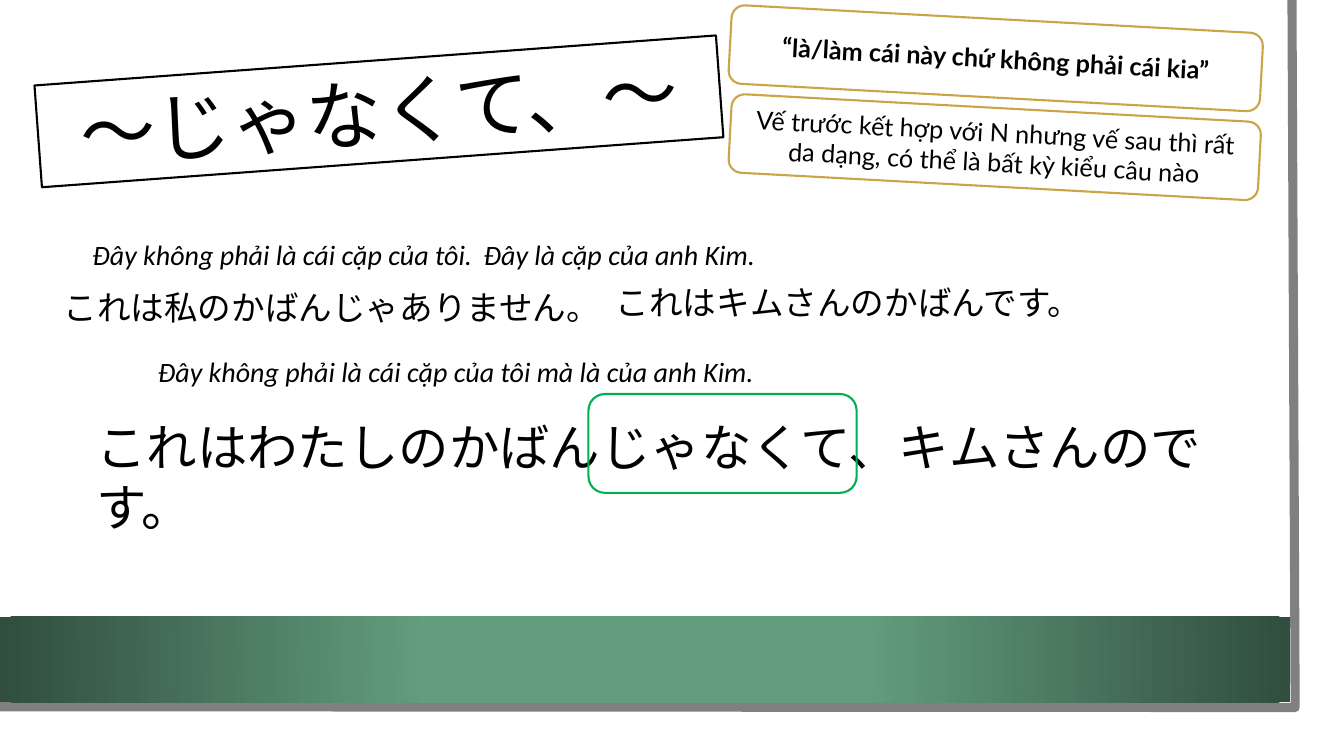
from lxml.etree import SubElement
from pptx import Presentation
from pptx.dml.color import RGBColor
from pptx.enum.shapes import MSO_SHAPE
from pptx.enum.text import MSO_ANCHOR, MSO_AUTO_SIZE, PP_ALIGN
from pptx.oxml import parse_xml
from pptx.oxml.ns import nsdecls, qn
from pptx.util import Cm, Pt

COLORS = {
    "ink": "000000",
    "paper": "FFFFFF",
    "edge": "808080",
    "band_center": "629D7D",
    "band_rim": "314E3E",
    "gold": "C8A547",
    "highlight": "00B050",
}
JAPANESE, VIETNAMESE, NOTE = "Arial", "Calibri", "Lato"


class GrammarSlide:
    """Holds the style and the current slide, with a method per element."""

    def __init__(self, presentation):
        """Add a title-only slide."""
        self.slide = presentation.slides.add_slide(presentation.slide_layouts[5])
        self.shapes = self.slide.shapes

    def color(self, name):
        """Return a named colour."""
        return RGBColor.from_string(COLORS[name])

    def paint(self, shape, fill=None, line=None, width=1.5):
        """Set the fill and outline of a shape."""
        if fill:
            shape.fill.solid()
            shape.fill.fore_color.rgb = self.color(fill)
        else:
            shape.fill.background()
        if line:
            shape.line.color.rgb = self.color(line)
            shape.line.width = Pt(width)
        else:
            shape.line.fill.background()

    def add_text(self, shape, text, font, size, align=PP_ALIGN.LEFT, bold=False, italic=False):
        """Put one formatted run into a shape."""
        shape.text_frame.word_wrap = True
        paragraph = shape.text_frame.paragraphs[0]
        paragraph.alignment = align
        run = paragraph.add_run()
        run.text = text
        run.font.name, run.font.size = font, Pt(size)
        run.font.bold, run.font.italic = bold, italic
        run.font.color.rgb = self.color("ink")

    def box(self, kind, place, fill=None, line=None):
        """Add a preset shape."""
        shape = self.shapes.add_shape(kind, *map(Cm, place))
        shape.shadow.inherit = False
        self.paint(shape, fill, line)
        return shape

    def page_edge(self, points, width):
        """Add the open grey outline along the page edge."""
        start, *rest = [(Cm(x), Cm(y)) for x, y in points]
        builder = self.shapes.build_freeform(*start)
        builder.add_line_segments(rest, close=False)
        shape = builder.convert_to_shape()
        shape.shadow.inherit = False
        self.paint(shape, line="edge", width=width)

    def band(self, place):
        """Add the footer band with a radial gradient."""
        properties = self.box(MSO_SHAPE.RECTANGLE, place).element.spPr
        gradient = parse_xml(
            f'<a:gradFill {nsdecls("a")} rotWithShape="1"><a:gsLst>'
            f'<a:gs pos="34000"><a:srgbClr val="{COLORS["band_center"]}"/></a:gs>'
            f'<a:gs pos="100000"><a:srgbClr val="{COLORS["band_rim"]}"/></a:gs>'
            '</a:gsLst><a:path path="circle">'
            '<a:fillToRect l="50000" t="50000" r="50000" b="50000"/>'
            "</a:path></a:gradFill>"
        )
        properties.replace(properties.find(qn("a:noFill")), gradient)

    def title(self, text, place, rotation):
        """Turn the title placeholder into a tilted arrow tag."""
        title = self.shapes.title
        title.left, title.top, title.width, title.height = map(Cm, place)
        title.rotation = rotation
        geometry = SubElement(title.element.spPr, qn("a:prstGeom"), prst="homePlate")
        SubElement(geometry, qn("a:avLst"))
        self.paint(title, "paper", "ink")
        title.text_frame.vertical_anchor = MSO_ANCHOR.TOP
        title.text_frame.auto_size = MSO_AUTO_SIZE.SHAPE_TO_FIT_TEXT
        self.add_text(title, text, JAPANESE, 54, PP_ALIGN.CENTER)
        title.element.getparent().append(title.element)

    def note(self, text, place, rotation, bold=False):
        """Add a tilted gold-framed note."""
        shape = self.box(MSO_SHAPE.ROUNDED_RECTANGLE, place, "paper", "gold")
        shape.rotation = rotation
        shape.text_frame.vertical_anchor = MSO_ANCHOR.MIDDLE
        self.add_text(shape, text, NOTE, 18, PP_ALIGN.CENTER, bold)

    def sentence(self, text, place, font, size):
        """Add an example sentence, italic when Vietnamese."""
        shape = self.shapes.add_textbox(*map(Cm, place))
        shape.text_frame.auto_size = MSO_AUTO_SIZE.SHAPE_TO_FIT_TEXT
        self.add_text(shape, text, font, size, italic=font == VIETNAMESE)


def main():
    """Build and save the slide."""
    presentation = Presentation()
    presentation.slide_width, presentation.slide_height = Cm(33.87), Cm(19.05)
    page = GrammarSlide(presentation)

    page.box(MSO_SHAPE.RECTANGLE, (0, 0, 33.27, 18.47), "paper")
    page.page_edge([(32.56, 0), (32.64, 17.83), (-0.08, 17.81)], 6.5)
    page.band((0, 15.54, 32.51, 2.16))

    sentences = [
        ("これは私のかばんじゃありません。", (1.35, 7.11, 14.25, 1.27), JAPANESE, 24),
        ("これはわたしのかばんじゃなくて、キムさんのです。", (2.18, 10.36, 28.65, 1.8), JAPANESE, 36),
        ("Đây không phải là cái cặp của tôi.", (2.08, 5.87, 10.44, 1.12), VIETNAMESE, 20),
        ("Đây là cặp của anh Kim.", (11.94, 5.87, 10.44, 1.12), VIETNAMESE, 20),
        ("これはキムさんのかばんです。", (15.27, 6.99, 12.57, 1.27), JAPANESE, 24),
        ("Đây không phải là cái cặp của tôi mà là của anh Kim.", (3.73, 8.81, 15.93, 1.12), VIETNAMESE, 20),
    ]
    for sentence in sentences:
        page.sentence(*sentence)

    page.title("～じゃなくて、～", (0.94, 1.52, 17.22, 2.57), 355.8)
    page.note("“là/làm cái này chứ không phải cái kia”", (18.39, 0.48, 13.41, 1.98), 3.1, bold=True)
    page.note(
        "Vế trước kết hợp với N nhưng vế sau thì rất da dạng, có thể là bất kỳ kiểu câu nào",
        (18.39, 2.72, 13.36, 1.98),
        3.1,
    )
    page.box(MSO_SHAPE.ROUNDED_RECTANGLE, (14.83, 9.93, 6.76, 2.49), line="highlight")

    presentation.save("out.pptx")


if __name__ == "__main__":
    main()
